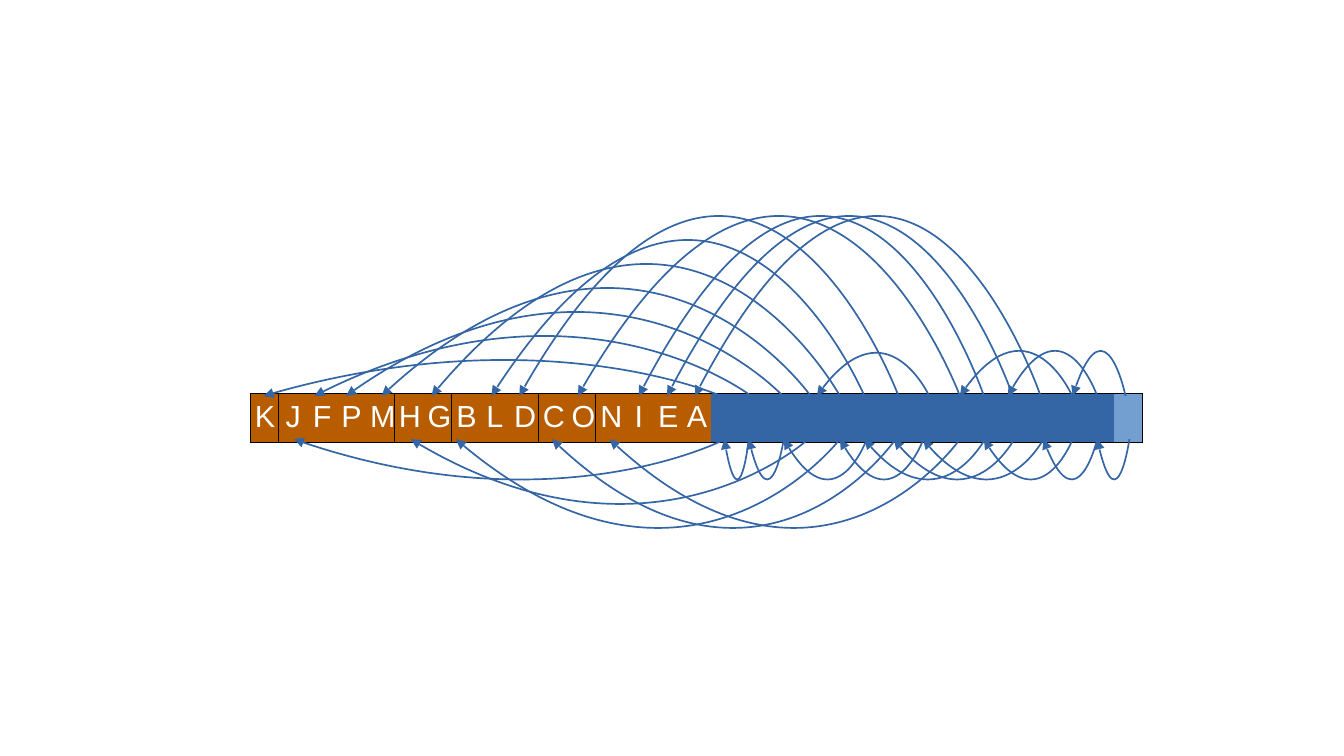
import dataclasses

import lxml.etree
import pptx
import pptx.dml.color
import pptx.enum.text
import pptx.oxml.ns
import pptx.util

Cm, Pt = pptx.util.Cm, pptx.util.Pt
qn = pptx.oxml.ns.qn


@dataclasses.dataclass(frozen=True)
class Theme:
    filled: str = "B85C00"
    free: str = "3465A4"
    last: str = "729FCF"
    text: str = "FFFFFF"
    border: str = "000000"
    font: str = "Arial"
    size: float = 18
    border_width: float = 0.57
    arc_width: float = 1


THEME = Theme()
GROUPS = ["K", "JFPM", "HG", "BLD", "CO", "NIEA"]
CELL_COUNT = 31
STRIP = (5.21, 8.2, 18.6, 0.97)  # left, top, width, height in cm

# Arcs as (arrow tip, tail, height) in cm
TOP_LINE, BOTTOM_LINE = 8.25, 9.15
ARCS_ABOVE = [
    (5.49, 15.02, 0.75), (6.55, 15.65, 1.25), (7.21, 16.31, 1.75),
    (7.95, 16.89, 2.25), (8.99, 17.5, 2.75), (10.24, 18.01, 3.25),
    (10.82, 18.72, 3.75), (12.04, 20, 3.75), (13.31, 20.5, 3.75),
    (13.9, 21.1, 3.75), (14.48, 21.68, 3.75), (17.02, 19.36, 0.9),
    (20, 22.34, 0.94), (21, 22.86, 0.94), (22.35, 23.45, 0.94),
]
ARCS_BELOW = [
    (6.12, 15.11, 0.84), (8.56, 16.84, 1.35), (9.5, 17.5, 1.85),
    (11.5, 18.66, 1.85), (12.7, 20, 1.85), (15.09, 15.6, 0.84),
    (15.6, 16.33, 0.84), (16.33, 18.06, 0.84), (17.5, 19.24, 0.84),
    (18.01, 20.52, 0.84), (18.62, 21.13, 0.84), (19.23, 21.74, 0.84),
    (20.5, 22.35, 0.84), (21.74, 22.86, 0.84), (22.86, 23.53, 0.84),
]


def rgb(value):
    return pptx.dml.color.RGBColor.from_string(value)


def apply(target, values):
    for name, value in values.items():
        setattr(target, name, value)


def add_borders(cell, visible):
    properties = cell._tc.get_or_add_tcPr()
    for side in "LRTB":
        line = lxml.etree.SubElement(properties, qn(f"a:ln{side}"))
        if side in visible:
            line.set("w", str(Pt(THEME.border_width)))
            fill = lxml.etree.SubElement(line, qn("a:solidFill"))
            lxml.etree.SubElement(fill, qn("a:srgbClr")).set("val", THEME.border)
        else:
            lxml.etree.SubElement(line, qn("a:noFill"))


def write_letter(cell, letter, align):
    para = cell.text_frame.paragraphs[0]
    para.alignment = align
    span = para.add_run()
    span.text = letter
    apply(span.font, {"name": THEME.font, "size": Pt(THEME.size), "bold": False})
    span.font.color.rgb = rgb(THEME.text)


def add_strip(page, box):
    """A row of cells: lettered groups, then free cells, then the last one."""
    left, top, width, height = (Cm(length) for length in box)
    table = page.shapes.add_table(1, CELL_COUNT, left, top, width, height).table
    apply(table, {"first_row": False, "horz_banding": False})
    letters = "".join(GROUPS)
    starts = {sum(map(len, GROUPS[:index])) for index in range(len(GROUPS))}
    final = CELL_COUNT - 1
    for index in range(CELL_COUNT):
        table.columns[index].width = Cm(box[2] / CELL_COUNT)
        cell = table.cell(0, index)
        apply(cell, {"margin_left": Cm(0.1), "margin_right": Cm(0.1),
                     "margin_top": Cm(0.12), "margin_bottom": Cm(0.12)})
        visible = "TB"
        if index in starts:
            visible += "L"
        if index + 1 in starts or index == final:
            visible += "R"
        add_borders(cell, visible)
        color = THEME.last if index == final else THEME.free
        if index < len(letters):
            color = THEME.filled
            centred = index < len(letters) - 1
            align = pptx.enum.text.PP_ALIGN
            write_letter(cell, letters[index], align.CENTER if centred else align.LEFT)
        cell.fill.solid()
        cell.fill.fore_color.rgb = rgb(color)


def add_arc(page, tip, tail, base, rise):
    """A Bézier arc from tip to tail that peaks at base + rise."""
    start, end, level, peak = Cm(tip), Cm(tail), Cm(base), Cm(base + rise)
    builder = page.shapes.build_freeform(start, level)
    builder.add_line_segments([((start + end) // 2, peak), (end, level)], close=False)
    arc = builder.convert_to_shape()

    # Swap the two straight segments for one curve, in the shape's own units
    first, second = list(arc._element.iter(qn("a:lnTo")))
    control = (int((end - start) * 0.6), int(level - arc.top + (peak - level) * 9 / 4))
    finish = (end - start, level - arc.top)
    curve = lxml.etree.Element(qn("a:cubicBezTo"))
    for x, y in (control, finish, finish):
        point = lxml.etree.SubElement(curve, qn("a:pt"))
        point.set("x", str(x))
        point.set("y", str(y))
    first.addprevious(curve)
    for segment in (first, second):
        segment.getparent().remove(segment)

    # Line and arrowhead
    arc.shadow.inherit = False
    arc.fill.background()
    arc.line.color.rgb = rgb(THEME.free)
    arc.line.width = Pt(THEME.arc_width)
    line = arc.line._get_or_add_ln()
    lxml.etree.SubElement(line, qn("a:headEnd")).set("type", "triangle")


def add_arcs(page, arcs, base, direction):
    for tip, tail, height in arcs:
        add_arc(page, tip, tail, base, direction * height)


def main():
    deck = pptx.Presentation()
    apply(deck, {"slide_width": Cm(28), "slide_height": Cm(15.75)})
    page = deck.slides.add_slide(deck.slide_layouts[6])
    add_strip(page, STRIP)
    add_arcs(page, ARCS_ABOVE, TOP_LINE, -1)
    add_arcs(page, ARCS_BELOW, BOTTOM_LINE, 1)
    deck.save("out.pptx")


if __name__ == "__main__":
    main()
